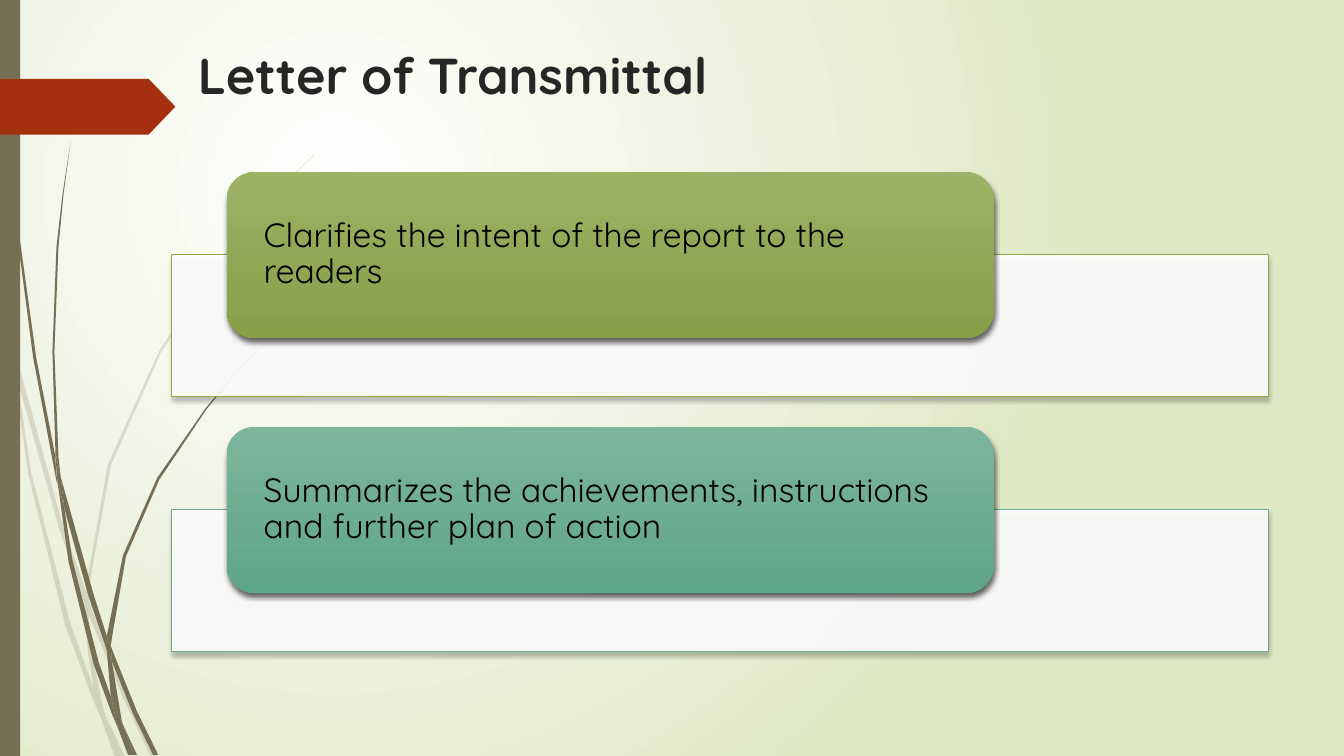
"""Build the Letter of Transmittal slide."""
from typing import NamedTuple

from pptx import Presentation
from pptx.dml.color import RGBColor
from pptx.enum.shapes import MSO_SHAPE as Preset
from pptx.enum.text import MSO_ANCHOR as Anchor, PP_ALIGN as Align
from pptx.oxml import parse_xml
from pptx.oxml.ns import nsdecls, qn
from pptx.util import Pt

FONT = "Quicksand"
OLIVE_BROWN = "766F54"
GRASS_UNIT = Pt(0.72)
CARD_TOP, CARD_STEP, PANEL_DROP = 122.8, 182.1, 59.3

Outline = list[tuple[int, int]]


class Shadow(NamedTuple):
    """Downward shadow with opacity in percent."""
    opacity: int
    blur: float
    distance: float


class Tuft(NamedTuple):
    """Grass pieces of one opacity, outlined in grass units."""
    opacity: int
    pieces: list[Outline]


class Card(NamedTuple):
    """Coloured statement lying over a white panel."""
    text: str
    top_color: str
    bottom_color: str
    line_color: str


PALE_TUFT = Tuft(20, [
    [(11, 350), (9, 322), (0, 282), (0, 299), (10, 344)],
    [(58, 522), (84, 599), (85, 586), (62, 520), (14, 345), (17, 376)],
    [(92, 607), (88, 596), (88, 610), (123, 694), (150, 751), (155, 751),
     (127, 692)],
    [(119, 751), (124, 751), (105, 711)],
    [(93, 683), (70, 619), (31, 469), (17, 376), (11, 350), (28, 470),
     (65, 621), (92, 693), (101, 714), (99, 707)],
    [(84, 599), (87, 646), (93, 683), (96, 692), (105, 711), (103, 706),
     (91, 646), (88, 610), (88, 608)],
    [(88, 584), (110, 462), (160, 349), (229, 245), (268, 198), (290, 175),
     (312, 154), (312, 153), (289, 175), (268, 197), (228, 244), (158, 348),
     (107, 461), (85, 584), (85, 586), (88, 596)],
    [(101, 714), (114, 751), (119, 751)],
    [(88, 608), (88, 610), (88, 596), (85, 586), (84, 599)],
    [(96, 692), (93, 683), (99, 707), (101, 714), (119, 751), (105, 711)],
])
DARK_TUFT = Tuft(100, [
    [(7, 110), (17, 233), (33, 355), (56, 477), (57, 481), (55, 457),
     (55, 453), (36, 355), (19, 232), (8, 109), (5, 48), (4, 0), (3, 0),
     (4, 48)],
    [(88, 592), (106, 645), (106, 633), (106, 631), (93, 590), (60, 472),
     (64, 505)],
    [(113, 649), (110, 641), (111, 656), (132, 708), (152, 749), (157, 749),
     (136, 706)],
    [(110, 691), (98, 657), (72, 556), (64, 505), (57, 477), (68, 557),
     (93, 659), (111, 708), (117, 722), (116, 717)],
    [(60, 472), (58, 453), (54, 349), (58, 245), (63, 193), (70, 141),
     (62, 193), (56, 245), (52, 349), (55, 449)],
    [(133, 749), (136, 749), (122, 719)],
    [(57, 477), (64, 505), (60, 472), (55, 449), (55, 453)],
    [(111, 633), (125, 552), (158, 476), (205, 406), (231, 374), (245, 359),
     (261, 344), (260, 344), (245, 358), (231, 373), (204, 405), (156, 474),
     (122, 551), (106, 631), (110, 641)],
    [(117, 722), (127, 749), (131, 749)],
    [(106, 645), (110, 691), (116, 706), (122, 719), (121, 716), (111, 656),
     (109, 651)],
    [(106, 645), (109, 651), (111, 656), (110, 641), (106, 631), (106, 633)],
    [(116, 706), (110, 691), (116, 717), (117, 722), (130, 749), (133, 749),
     (122, 719)],
])
CARDS = [
    Card("Clarifies the intent of the report to the readers",
         "9DB265", "889E47", "92AA4C"),
    Card("Summarizes the achievements, instructions and further plan of action",
         "7DB59D", "5FA588", "6AAC91"),
]


def color(value: str) -> RGBColor:
    """Turn a hex string into a colour."""
    return RGBColor.from_string(value)


def fill_solid(shape, value: str, opacity: int = 100) -> None:
    """Fill a shape with one colour, without line or shadow."""
    shape.shadow.inherit = False
    shape.fill.solid()
    shape.fill.fore_color.rgb = color(value)
    shape.line.fill.background()
    if opacity < 100:
        tint = shape._element.spPr.find(f"{qn('a:solidFill')}/{qn('a:srgbClr')}")
        tint.append(parse_xml(f'<a:alpha {nsdecls("a")} val="{opacity * 1000}"/>'))


def fill_gradient(fill, first: str, last: str) -> None:
    """Fill with a top-to-bottom gradient of two colours."""
    fill.gradient()
    fill.gradient_angle = 270
    for stop, value in zip(fill.gradient_stops, (first, last)):
        stop.color.rgb = color(value)


def cast_shadow(shape, shadow: Shadow) -> None:
    """Give a shape a soft black shadow below it."""
    shape.shadow.inherit = False
    shape._element.spPr.find(qn("a:effectLst")).append(parse_xml(
        f'<a:outerShdw {nsdecls("a")} blurRad="{Pt(shadow.blur)}" '
        f'dist="{Pt(shadow.distance)}" dir="5400000" algn="ctr" rotWithShape="0">'
        f'<a:srgbClr val="000000"><a:alpha val="{shadow.opacity * 1000}"/>'
        '</a:srgbClr></a:outerShdw>'))


def add_shape(page, preset: Preset, *place: float):
    """Add a preset shape at left, top, width and height."""
    return page.shapes.add_shape(preset, *map(Pt, place))


def write(shape, text: str, size: float, value: str, bold: bool = False):
    """Write one left-aligned paragraph and return it."""
    shape.text_frame.word_wrap = True
    para = shape.text_frame.paragraphs[0]
    para.text = text
    para.alignment = Align.LEFT
    para.font.name, para.font.size, para.font.bold = FONT, Pt(size), bold
    para.font.color.rgb = color(value)
    return para


def draw_tuft(page, tuft: Tuft) -> None:
    """Draw every piece of a tuft of grass."""
    for start, *others in tuft.pieces:
        builder = page.shapes.build_freeform(*start, scale=GRASS_UNIT)
        builder.add_line_segments(others, close=True)
        fill_solid(builder.convert_to_shape(), OLIVE_BROWN, tuft.opacity)


def draw_card(page, card: Card, top: float) -> None:
    """Draw a white panel and the statement over it."""
    panel = add_shape(page, Preset.RECTANGLE, 122.4, top + PANEL_DROP, 783.4, 101.4)
    fill_solid(panel, "FFFFFF", 90)
    panel.line.color.rgb = color(card.line_color)
    panel.line.width = Pt(0.75)
    cast_shadow(panel, Shadow(25, 3, 2))

    box = add_shape(page, Preset.ROUNDED_RECTANGLE, 161.9, top, 548, 118.6)
    fill_gradient(box.fill, card.top_color, card.bottom_color)
    box.line.fill.background()
    cast_shadow(box, Shadow(60, 4, 3))
    frame = box.text_frame
    frame.margin_left = frame.margin_right = Pt(20.7)
    frame.margin_top = frame.margin_bottom = 0
    frame.vertical_anchor = Anchor.MIDDLE
    write(box, card.text, 24, "000000").line_spacing = 0.9


def draw_background(page) -> None:
    """Paint a round glow from white to pale green."""
    fill_gradient(page.background.fill, "FFFFFF", "DFE8C4")
    linear = next(page._element.iter(qn("a:lin")))
    linear.getparent().replace(linear, parse_xml(
        f'<a:path {nsdecls("a")} path="circle"><a:fillToRect l="50000" t="50000" '
        'r="100000" b="100000"/></a:path>'))


def main() -> None:
    """Build and save the deck."""
    deck = Presentation()
    deck.slide_width, deck.slide_height = Pt(960), Pt(540)
    page = deck.slides.add_slide(deck.slide_layouts[6])
    draw_background(page)
    for tuft in (PALE_TUFT, DARK_TUFT):
        draw_tuft(page, tuft)
    fill_solid(add_shape(page, Preset.RECTANGLE, 0, 0, 14.4, 540), OLIVE_BROWN)
    tag = add_shape(page, Preset.PENTAGON, 0, 56.3, 125.3, 39.9)
    tag.adjustments[0] = 0.48
    fill_solid(tag, "A53010")
    title = page.shapes.add_textbox(*map(Pt, (134.2, 28, 702, 53.3)))
    write(title, "Letter of Transmittal", 36, "262626", bold=True)
    for index, card in enumerate(CARDS):
        draw_card(page, card, CARD_TOP + index * CARD_STEP)
    deck.save("out.pptx")


main()
